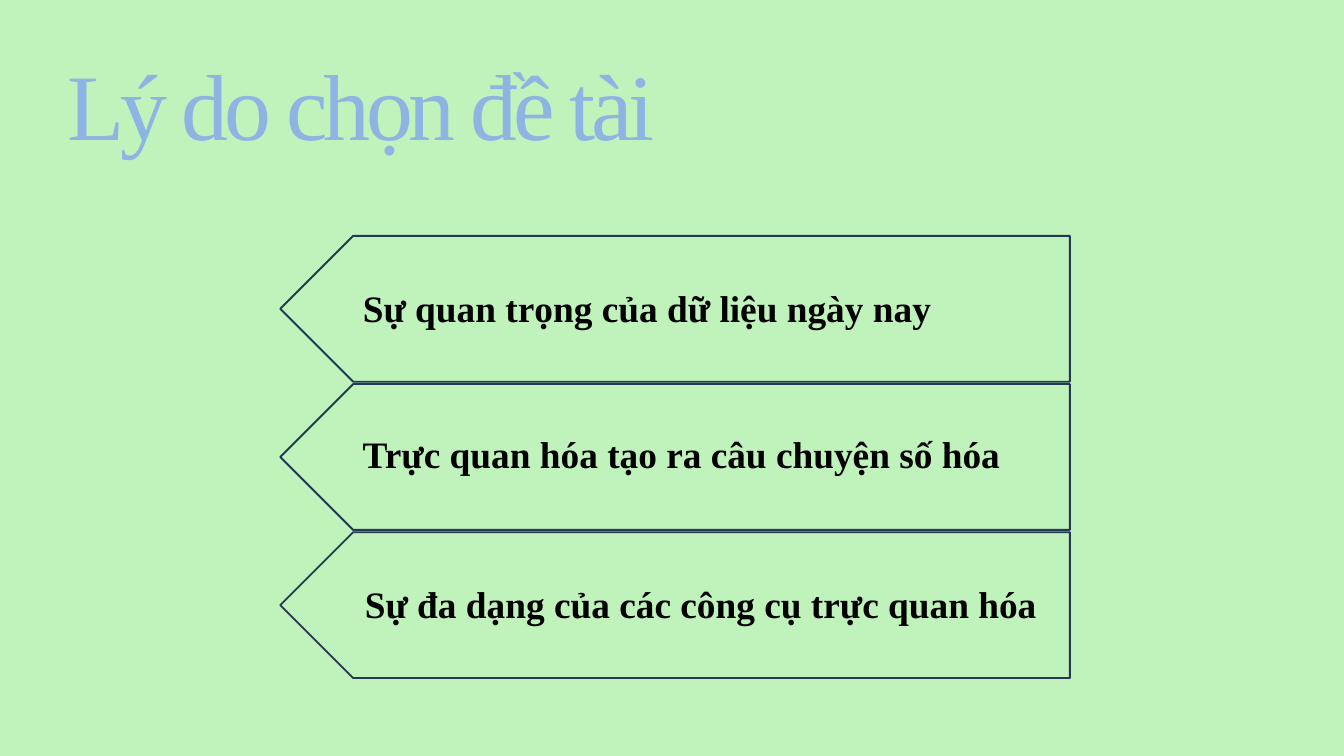
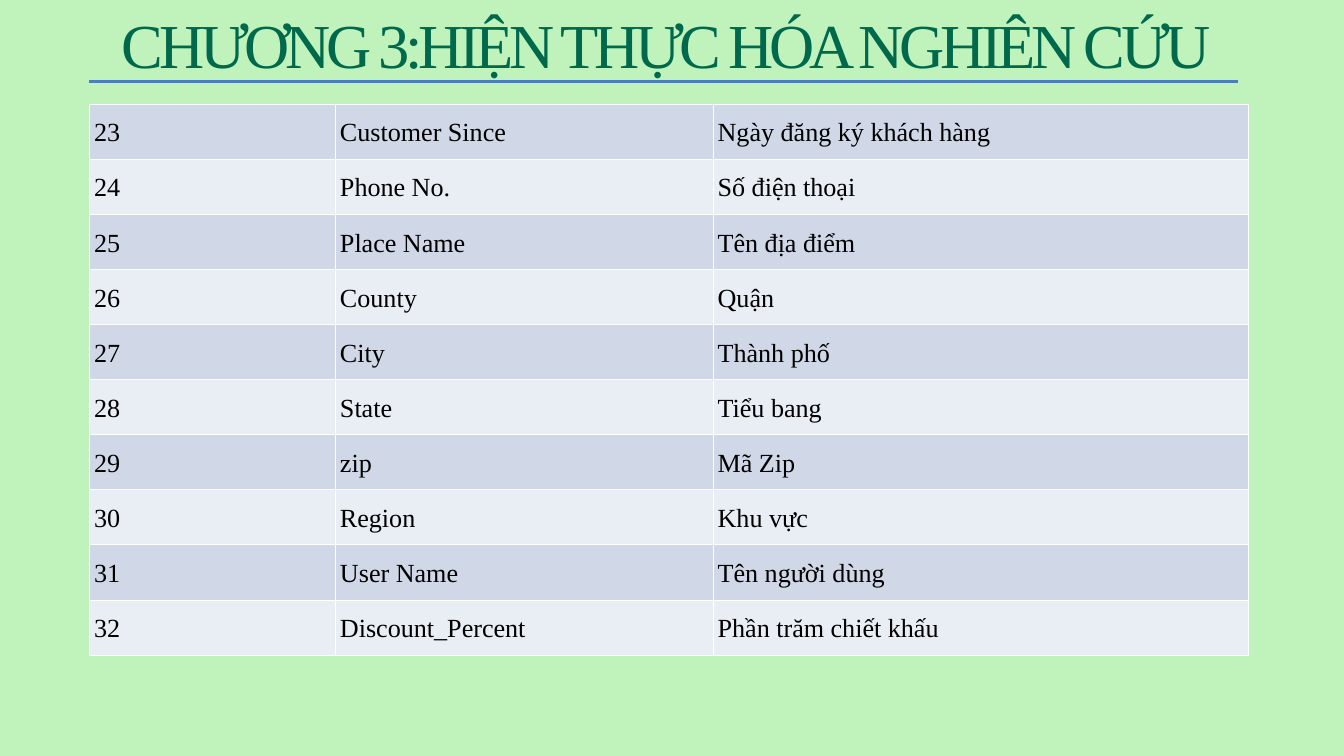
import typing

import pptx
import pptx.dml.color
import pptx.enum.shapes
import pptx.enum.text
import pptx.oxml
import pptx.oxml.ns
import pptx.util

Inches = pptx.util.Inches
Pt = pptx.util.Pt
Align = pptx.enum.text.PP_ALIGN
Anchor = pptx.enum.text.MSO_ANCHOR
Fit = pptx.enum.text.MSO_AUTO_SIZE

FONT = "Times New Roman"
COLORS = {
    "page": "C0F2BC", "sky": "8EB4E3", "green": "00694C", "navy": "233953",
    "rule": "4B7EBC", "text": "000000", "dark": "D0D8E8", "light": "E9EDF4",
    "edge": "FFFFFF",
}


class Box(typing.NamedTuple):
    left: float
    top: float
    width: float
    height: float

    def sizes(self) -> list:
        return [Inches(side) for side in self]


class Style(typing.NamedTuple):
    size: float
    color: str
    bold: bool = False
    space: int = 0  # letter spacing, hundredths of a point


class Reason(typing.NamedTuple):
    text: str
    box: Box
    align: Align


REASONS = [
    Reason("Sự quan trọng của dữ liệu ngày nay",
           Box(5.3, 4.2, 10.58, 0.77), Align.JUSTIFY),
    Reason("Trực quan hóa tạo ra câu chuyện số hóa",
           Box(5.3, 6.37, 11, 0.77), Align.JUSTIFY),
    Reason("Sự đa dạng của các công cụ trực quan hóa",
           Box(5.33, 8.6, 10.58, 0.77), Align.LEFT),
]
FIRST = 23
FIELDS = [
    ("Customer Since", "Ngày đăng ký khách hàng"),
    ("Phone No.", "Số điện thoại"),
    ("Place Name", "Tên địa điểm"),
    ("County", "Quận"),
    ("City", "Thành phố"),
    ("State", "Tiểu bang"),
    ("zip", "Mã Zip"),
    ("Region", "Khu vực"),
    ("User Name", "Tên người dùng"),
    ("Discount_Percent", "Phần trăm chiết khấu"),
]
WIDTHS = [3.66, 5.62, 7.97]
ROW = 0.82


def rgb(name: str) -> pptx.dml.color.RGBColor:
    return pptx.dml.color.RGBColor.from_string(COLORS[name])


def add_run(para, text: str, style: Style) -> None:
    run = para.add_run()
    run.text = text
    run.font.name = FONT
    run.font.size = Pt(style.size)
    run.font.bold = style.bold
    run.font.color.rgb = rgb(style.color)
    if style.space:
        run._r.get_or_add_rPr().set("spc", str(style.space))


def set_pads(frame, left: float, top: float, right: float, base: float) -> None:
    frame.margin_left, frame.margin_top = Inches(left), Inches(top)
    frame.margin_right, frame.margin_bottom = Inches(right), Inches(base)


def add_slide(deck, title: str, box: Box, style: Style, align: Align):
    """Add a slide with the shared background and a placed title."""
    slide = deck.slides.add_slide(deck.slide_layouts[5])
    slide.background.fill.solid()
    slide.background.fill.fore_color.rgb = rgb("page")
    head = slide.shapes.title
    head.left, head.top, head.width, head.height = box.sizes()
    frame = head.text_frame
    frame.word_wrap = True
    frame.auto_size = Fit.NONE
    frame.paragraphs[0].alignment = align
    add_run(frame.paragraphs[0], title, style)
    return slide


def add_arrow(slide, box: Box) -> None:
    arrow = slide.shapes.add_shape(
        pptx.enum.shapes.MSO_SHAPE.PENTAGON, *box.sizes())
    arrow.rotation = 180
    arrow.shadow.inherit = False
    arrow.fill.background()
    arrow.line.color.rgb = rgb("navy")
    arrow.line.width = Pt(2)


def add_reason(slide, item: Reason) -> None:
    frame = slide.shapes.add_textbox(*item.box.sizes()).text_frame
    frame.word_wrap = True
    frame.auto_size = Fit.SHAPE_TO_FIT_TEXT
    frame.paragraphs[0].alignment = item.align
    add_run(frame.paragraphs[0], item.text, Style(40, "text", True))


def add_rule(slide, left: float, right: float, top: float) -> None:
    rule = slide.shapes.add_connector(
        pptx.enum.shapes.MSO_CONNECTOR.STRAIGHT,
        Inches(left), Inches(top), Inches(right), Inches(top))
    rule.line.color.rgb = rgb("rule")
    rule.line.width = Pt(3)
    rule._element.spPr.append(pptx.oxml.parse_xml(
        f"<a:effectLst {pptx.oxml.ns.nsdecls('a')}/>"))


def fill_cell(cell, text: str, color: str) -> None:
    props = cell._tc.get_or_add_tcPr()
    for side in "LRTB":
        props.append(pptx.oxml.parse_xml(
            f'<a:ln{side} {pptx.oxml.ns.nsdecls("a")} w="{Pt(1)}"><a:solidFill>'
            f'<a:srgbClr val="{COLORS["edge"]}"/></a:solidFill></a:ln{side}>'))
    cell.fill.solid()
    cell.fill.fore_color.rgb = rgb(color)
    set_pads(cell, 0.07, 0, 0.07, 0)
    para = cell.text_frame.paragraphs[0]
    para.line_spacing = 1.5
    add_run(para, text, Style(28, "text"))


def add_fields(slide, left: float, top: float) -> None:
    box = Box(left, top, sum(WIDTHS), ROW * len(FIELDS))
    table = slide.shapes.add_table(
        len(FIELDS), len(WIDTHS), *box.sizes()).table
    table.first_row = False
    for col, width in zip(table.columns, WIDTHS):
        col.width = Inches(width)
    for num, (row, field) in enumerate(zip(table.rows, FIELDS)):
        row.height = Inches(ROW)
        color = "light" if num % 2 else "dark"
        for cell, text in zip(row.cells, (str(FIRST + num), *field)):
            fill_cell(cell, text, color)


def add_why(deck) -> None:
    slide = add_slide(deck, "Lý do chọn đề tài", Box(1, 1.12, 12.5, 1.28),
                      Style(100.4, "sky", space=-460), Align.LEFT)
    frame = slide.shapes.title.text_frame
    set_pads(frame, 0, 0, 0, 0)
    frame.vertical_anchor = Anchor.TOP
    frame.auto_size = Fit.SHAPE_TO_FIT_TEXT
    frame.paragraphs[0].line_spacing = Pt(90.4)
    # Arrows first, so that the text lies above them
    for num in range(len(REASONS)):
        add_arrow(slide, Box(4.17, 3.51 + 2.205 * num, 11.75, 2.17))
    for item in REASONS:
        add_reason(slide, item)


def add_data(deck) -> None:
    slide = add_slide(deck, "CHƯƠNG 3:HIỆN THỰC HÓA NGHIÊN CỨU",
                      Box(0, 0.3, 19.83, 1.25),
                      Style(67, "green", space=-460), Align.CENTER)
    frame = slide.shapes.title.text_frame
    frame.vertical_anchor = Anchor.MIDDLE
    # A deep bottom margin lifts the title above the rule
    set_pads(frame, 0.1, 0.05, 0.1, 0.61)
    add_rule(slide, 1.33, 18.42, 1.21)
    add_fields(slide, 1.33, 1.55)


def main() -> None:
    deck = pptx.Presentation()
    deck.slide_width, deck.slide_height = Inches(20), Inches(11.25)
    add_why(deck)
    add_data(deck)
    deck.save("out.pptx")


if __name__ == "__main__":
    main()
